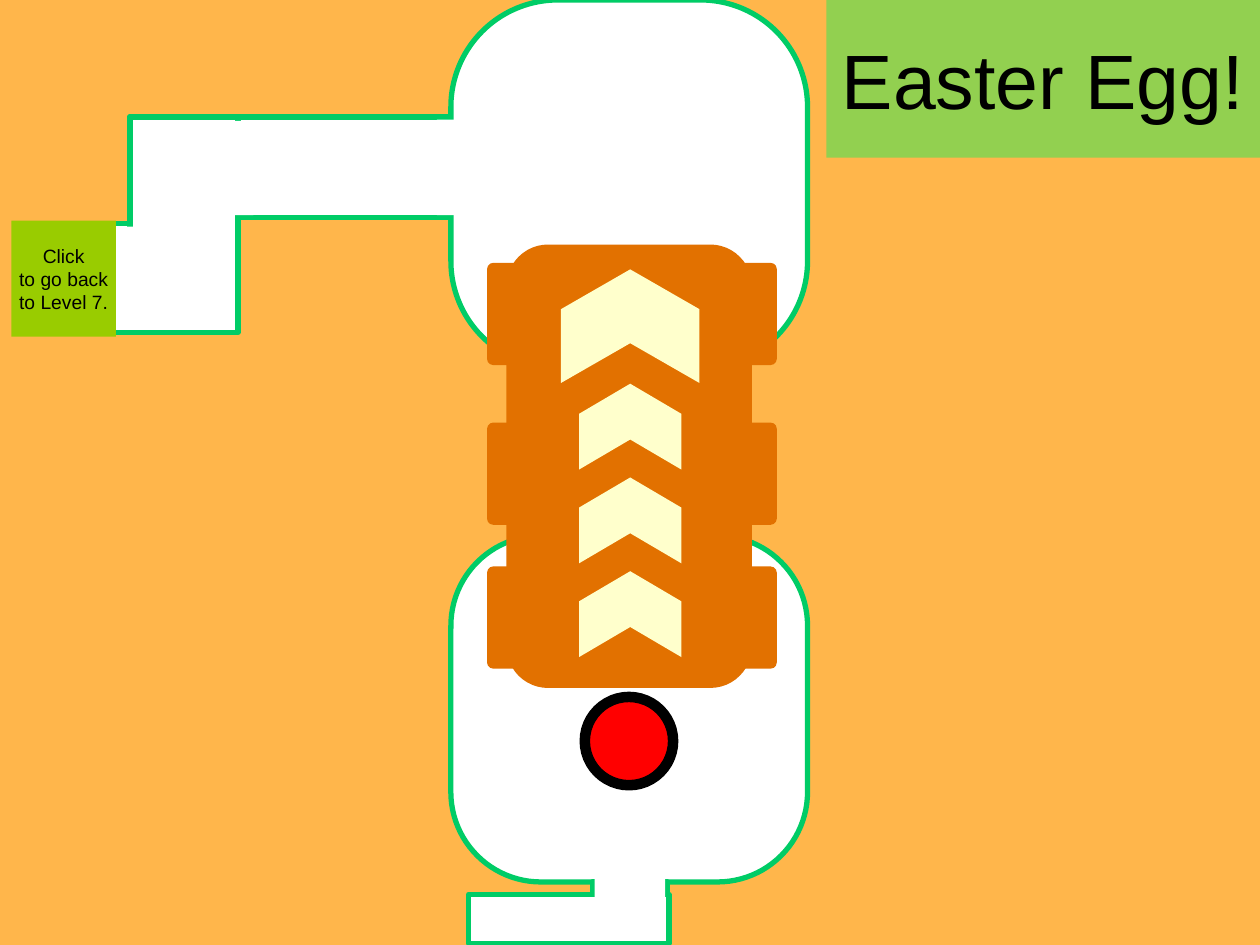
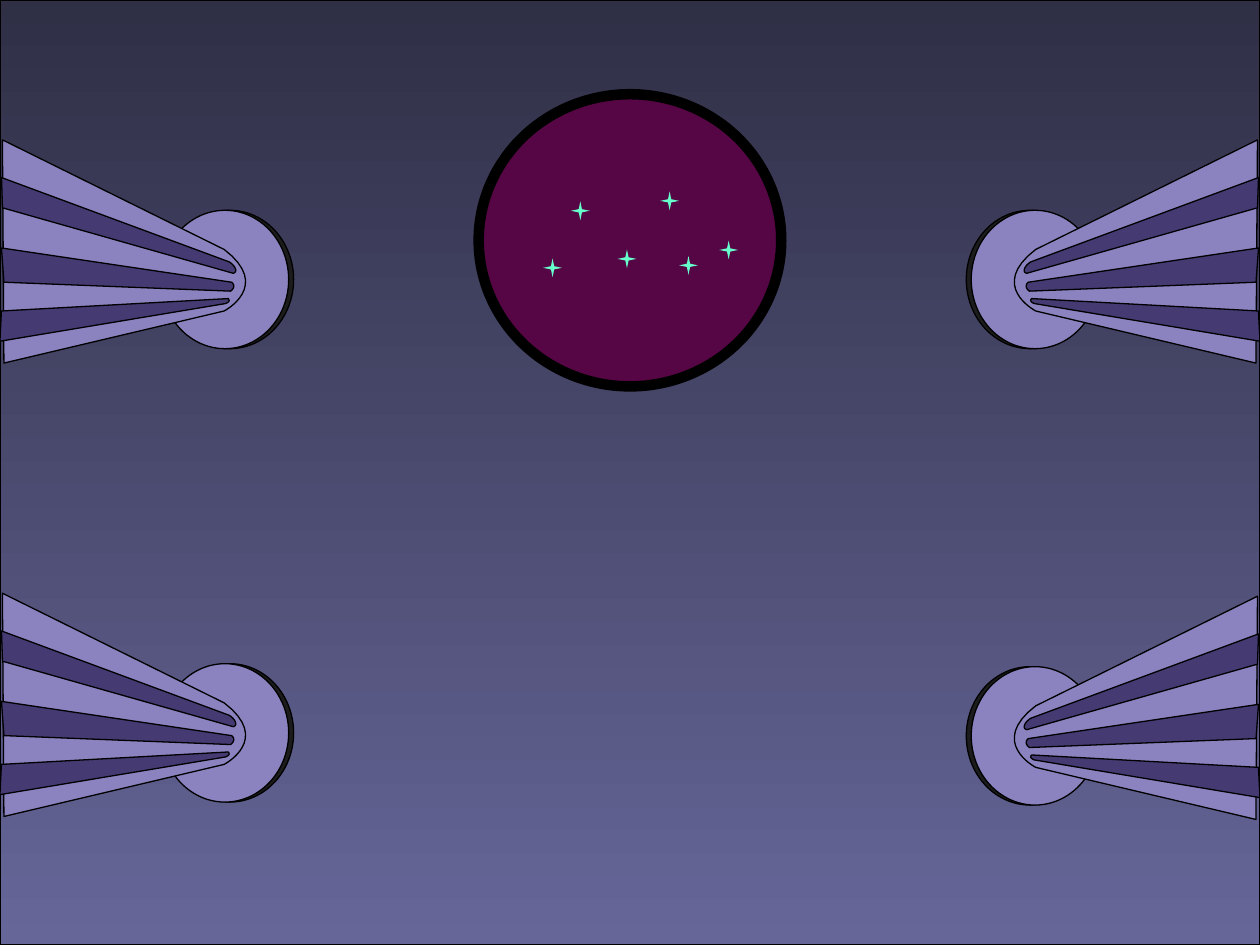
from pptx import Presentation
from pptx.dml.color import RGBColor
from pptx.enum.shapes import MSO_SHAPE
from pptx.enum.text import MSO_ANCHOR, MSO_AUTO_SIZE, PP_ALIGN
from pptx.util import Cm, Pt

WIDE, HIGH = 25.4, 19.05
FONT = "Arial"
HUES = {
    "sand": "FFB64B", "white": "FFFFFF", "green": "00CC66", "red": "FF0000",
    "black": "000000", "rust": "E27100", "cream": "FFFFCC", "leaf": "92D050",
    "lime": "99CC00", "dusk": "2F2F46", "haze": "666699", "coal": "1C1C1C",
    "lilac": "8A83BF", "plum": "463A72", "wine": "560645", "mint": "66FFCC",
}
RECT, ROUND, OVAL = MSO_SHAPE.RECTANGLE, MSO_SHAPE.ROUNDED_RECTANGLE, MSO_SHAPE.OVAL

BEAM = ([(4.52, 5.03), (5.49, 5.77), (4.52, 6.27), (4.52, 6.27)],
        [(0.08, 7.32), (0.05, 2.82)])
STRIPES = [
    ([(4.62, 5.28), (4.75, 5.36), (4.8, 5.49), (4.7, 5.51)],
     [(0.05, 4.19), (0.03, 3.58)]),
    ([(4.67, 5.69), (4.67, 5.69), (4.78, 5.77), (4.65, 5.87)],
     [(0.08, 5.69), (0.03, 5)]),
    ([(4.6, 6.02), (4.6, 6.02), (4.67, 6.07), (4.55, 6.12)],
     [(0, 6.88), (0.03, 6.27)]),
]


def hue(name):
    return RGBColor.from_string(HUES[name])


def paint(shape, fill, line=None, width=0.75):
    shape.shadow.inherit = False
    shape.fill.solid()
    shape.fill.fore_color.rgb = hue(fill)
    if line:
        shape.line.color.rgb = hue(line)
        shape.line.width = Pt(width)
    else:
        shape.line.fill.background()


def place(shapes, kind, at, fill, line=None, width=0.75, adj=None, turn=0):
    shape = shapes.add_shape(kind, *map(Cm, at))
    paint(shape, fill, line, width)
    if adj is not None:
        shape.adjustments[0] = adj
    shape.rotation = turn
    return shape


def wall(shapes, at, kind=RECT, adj=None):
    return place(shapes, kind, at, "white", "green", 3, adj)


def write(shape, lines, size):
    frame = shape.text_frame
    frame.text = "\n".join(lines)
    frame.vertical_anchor = MSO_ANCHOR.MIDDLE
    frame.auto_size = MSO_AUTO_SIZE.NONE
    for para in frame.paragraphs:
        para.alignment = PP_ALIGN.CENTER
        para.font.name = FONT
        para.font.size = Pt(size)
        para.font.color.rgb = hue("black")


def head(slide, text, at, fill):
    title = slide.shapes.title
    title.left, title.top, title.width, title.height = map(Cm, at)
    title.fill.solid()
    title.fill.fore_color.rgb = hue(fill)
    write(title, [text], 44)
    return title


def raft(shapes):
    group = shapes.add_group_shape().shapes
    for top in (11.42, 8.52, 5.3):
        place(group, ROUND, (9.82, top, 5.84, 2.06), "rust", adj=0.06)
    place(group, ROUND, (10.21, 4.93, 4.95, 8.94), "rust", adj=0.17)
    marks = [(11.56, 5.18, 2.29, 2.79)]
    marks += [(11.84, 7.57 + 1.89 * step, 1.73, 2.06) for step in range(3)]
    for at in marks:
        place(group, MSO_SHAPE.CHEVRON, at, "cream", adj=0.35, turn=270)


def bend(ends, steps=16):
    for step in range(steps + 1):
        t = step / steps
        u = 1 - t
        parts = (u ** 3, 3 * u * u * t, 3 * u * t * t, t ** 3)
        yield tuple(sum(p * end[axis] for p, end in zip(parts, ends))
                    for axis in (0, 1))


def blade(shapes, form, fill, flip, drop):
    curve, tail = form
    dots = [(Cm(WIDE - x if flip else x), Cm(y + drop))
            for x, y in [*bend(curve), *tail]]
    pen = shapes.build_freeform(*dots[0])
    pen.add_line_segments(dots[1:], close=True)
    paint(pen.convert_to_shape(), fill, "black")


def lamp(shapes, flip, drop):
    group = shapes.add_group_shape().shapes
    wide = 2.57
    for left, fill in ((3.35, "coal"), (3.25, "lilac")):
        side = WIDE - left - wide if flip else left
        place(group, OVAL, (side, 4.24 + drop, wide, 2.79), fill, "black")
    blade(group, BEAM, "lilac", flip, drop)
    for form in STRIPES:
        blade(group, form, "plum", flip, drop)


def maze(deck):
    slide = deck.slides.add_slide(deck.slide_layouts[5])
    shapes = slide.shapes
    place(shapes, RECT, (0, 0, WIDE, HIGH), "sand")
    wall(shapes, (9.09, 0, 7.19, 7.42), ROUND, 0.3)
    wall(shapes, (9.09, 10.8, 7.19, 6.98), ROUND, 0.26)
    place(shapes, OVAL, (11.79, 14.05, 1.78, 1.78), "red", "black", 6)
    raft(shapes)
    wall(shapes, (2.62, 2.36, 6.43, 2.03))
    place(shapes, RECT, (8.81, 2.41, 0.46, 1.93), "white")
    wall(shapes, (9.45, 18.03, 4.04, 0.99))
    wall(shapes, (11.94, 17.78, 1.52, 0.25))
    neck = place(shapes, RECT, (11.99, 17.6, 1.42, 0.56), "white")
    title = head(slide, "Easter Egg!", (16.66, 0, 8.74, 3.18), "leaf")
    neck.element.addnext(title.element)
    wall(shapes, (1.85, 4.5, 0.97, 2.21))
    wall(shapes, (2.62, 2.36, 2.18, 4.34))
    place(shapes, RECT, (2.39, 4.57, 0.56, 2.08), "white")
    place(shapes, RECT, (4.55, 2.44, 0.56, 1.9), "white")
    back = place(shapes, RECT, (0.23, 4.45, 2.11, 2.34), "lime")
    write(back, ["Click", "to go back", "to Level 7."], 11)
    back.text_frame.word_wrap = False


def space(deck):
    shapes = deck.slides.add_slide(deck.slide_layouts[6]).shapes
    sky = place(shapes, RECT, (0, 0, WIDE, HIGH), "haze", "black")
    sky.fill.gradient()
    sky.fill.gradient_angle = 270
    for stop, name in zip(sky.fill.gradient_stops, ("dusk", "haze")):
        stop.color.rgb = hue(name)
    for flip, drop in ((True, 0), (False, 9.14), (True, 9.2), (False, 0)):
        lamp(shapes, flip, drop)
    place(shapes, OVAL, (9.65, 1.9, 6.1, 5.89), "wine", "black", 6)
    stars = [(11.51, 4.06), (12.45, 5.03), (13.31, 3.86),
             (14.5, 4.85), (10.95, 5.21), (13.69, 5.16)]
    for left, top in stars:
        place(shapes, MSO_SHAPE.STAR_4_POINT, (left, top, 0.38, 0.38),
              "mint", adj=0.12)


def main():
    deck = Presentation()
    deck.slide_width, deck.slide_height = Cm(WIDE), Cm(HIGH)
    maze(deck)
    space(deck)
    deck.save("out.pptx")


if __name__ == "__main__":
    main()
